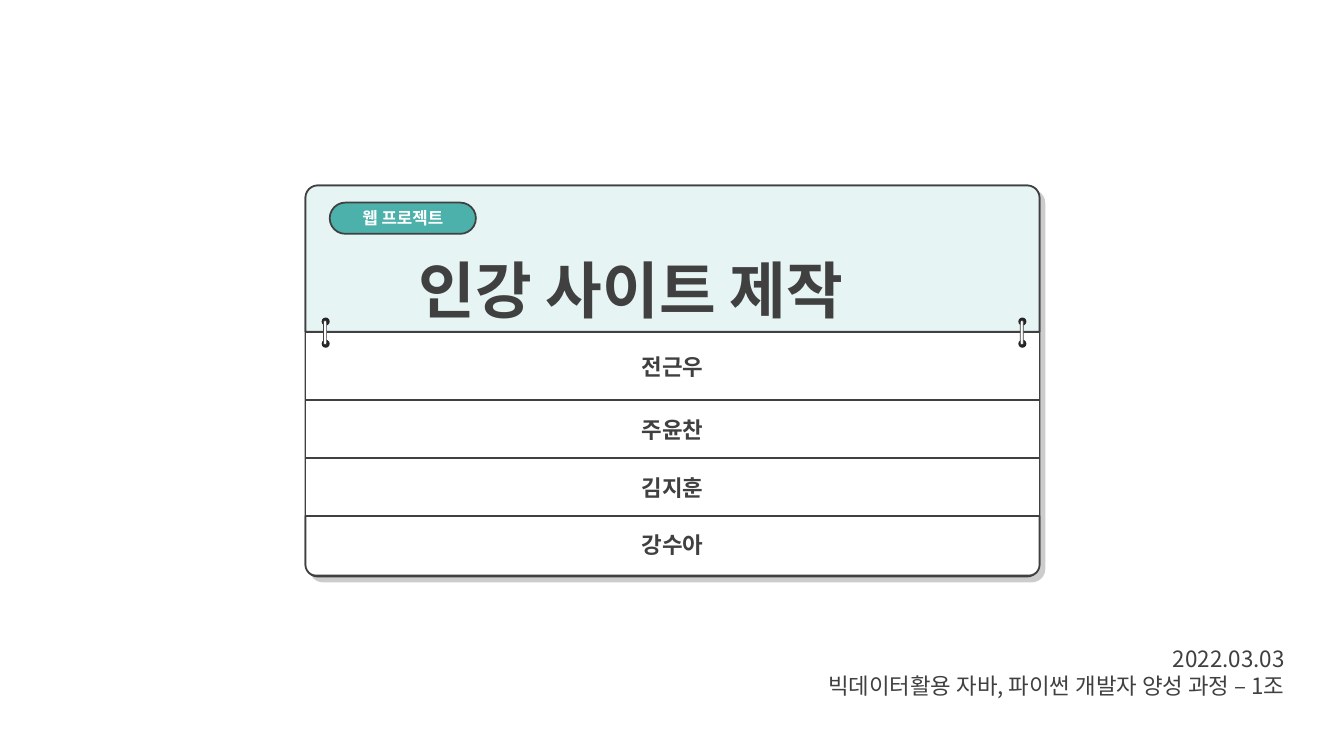
"""Build the cover slide of a web project: a calendar card with the team names."""
from dataclasses import dataclass

from lxml.etree import SubElement
from pptx import Presentation
from pptx.dml.color import RGBColor
from pptx.enum.shapes import MSO_SHAPE
from pptx.enum.text import MSO_ANCHOR, MSO_AUTO_SIZE, PP_ALIGN
from pptx.oxml.ns import qn
from pptx.util import Inches, Pt


@dataclass(frozen=True)
class Theme:
    font: str = "Noto Sans CJK KR"
    ink: str = "404040"
    hole: str = "262626"
    paper: str = "FFFFFF"
    header: str = "E6F4F4"
    accent: str = "4CB1AB"
    title_size: int = 44
    body_size: int = 16
    tag_size: int = 12
    border: float = 1.25
    ring_border: float = 0.5


theme = Theme()
prs = Presentation()
prs.slide_width, prs.slide_height = Inches(13.33), Inches(7.5)
s = prs.slides.add_slide(prs.slide_layouts[0])


def add_box(kind, left, top, width, height, fill, border=0, adj=()):
    sp = s.shapes.add_shape(kind, Inches(left), Inches(top), Inches(width), Inches(height))
    sp.shadow.inherit = False
    sp.fill.solid()
    sp.fill.fore_color.rgb = RGBColor.from_string(fill)
    if border:
        sp.line.color.rgb = RGBColor.from_string(theme.ink)
        sp.line.width = Pt(border)
    else:
        sp.line.fill.background()
    for i, value in enumerate(adj):
        sp.adjustments[i] = value
    return sp


def write(sp, lines, size, align, anchor, color=theme.ink, bold=True, wrap=True):
    tf = sp.text_frame
    tf.word_wrap = wrap
    tf.auto_size = MSO_AUTO_SIZE.NONE
    tf.vertical_anchor = anchor
    for i, line in enumerate(lines):
        p = tf.add_paragraph() if i else tf.paragraphs[0]
        p.alignment = align
        p.space_before = Pt(0)
        r = p.add_run()
        r.text = line
        r.font.name = theme.font
        r.font.size = Pt(size)
        r.font.bold = bold
        r.font.color.rgb = RGBColor.from_string(color)
        SubElement(r.font._element, qn("a:ea"), typeface=theme.font)


card_left, card_top, card_width = 3.03, 1.84, 7.28

card = add_box(MSO_SHAPE.ROUNDED_RECTANGLE, card_left, card_top, card_width, 3.88,
               theme.paper, theme.border, [0.032])
effects = card._element.spPr.find(qn("a:effectLst"))
shadow = SubElement(effects, qn("a:outerShdw"), blurRad="0", dist=str(Pt(5)),
                    dir=str(45 * 60000), algn="tl", rotWithShape="0")
shade = SubElement(shadow, qn("a:srgbClr"), val="000000")
SubElement(shade, qn("a:alpha"), val="20000")

add_box(MSO_SHAPE.ROUND_2_SAME_RECTANGLE, card_left, card_top, card_width, 1.45,
        theme.header, theme.border, [0.083, 0])
tag = add_box(MSO_SHAPE.ROUNDED_RECTANGLE, 3.27, 2.01, 1.45, 0.31,
              theme.accent, theme.border, [0.5])
write(tag, ["웹 프로젝트"], theme.tag_size, PP_ALIGN.CENTER, MSO_ANCHOR.MIDDLE,
      theme.paper, wrap=False)

row_top = 3.3
for name, height, corner in [("전근우", 0.67, 0), ("주윤찬", 0.575, 0),
                             ("김지훈", 0.575, 0), ("강수아", 0.59, 0.179)]:
    row = add_box(MSO_SHAPE.ROUND_2_SAME_RECTANGLE, card_left, row_top, card_width, height,
                  theme.paper, theme.border, [0, corner])
    write(row, [name], theme.body_size, PP_ALIGN.CENTER, MSO_ANCHOR.MIDDLE)
    row_top += height

for ring_left in (3.19, 10.1):
    for hole_top in (3.15, 3.37):
        add_box(MSO_SHAPE.OVAL, ring_left, hole_top, 0.08, 0.08, theme.hole)
    add_box(MSO_SHAPE.ROUNDED_RECTANGLE, ring_left + 0.02, 3.18, 0.03, 0.24,
            theme.paper, theme.ring_border, [0.5])

course = s.placeholders[1]
course.left, course.top = Inches(6.53), Inches(6.35)
course.width, course.height = Inches(6.31), Inches(0.64)
write(course, ["2022.03.03", "빅데이터활용 자바, 파이썬 개발자 양성 과정 – 1조"],
      theme.body_size, PP_ALIGN.RIGHT, MSO_ANCHOR.TOP, bold=False)

title = s.shapes.title
title.left, title.top = Inches(4.05), Inches(2.45)
title.width, title.height = Inches(4.96), Inches(0.84)
write(title, ["인강 사이트 제작"], theme.title_size, PP_ALIGN.LEFT, MSO_ANCHOR.TOP)

for sp in (course, title):
    s.shapes._spTree.append(sp._element)

prs.save("out.pptx")
